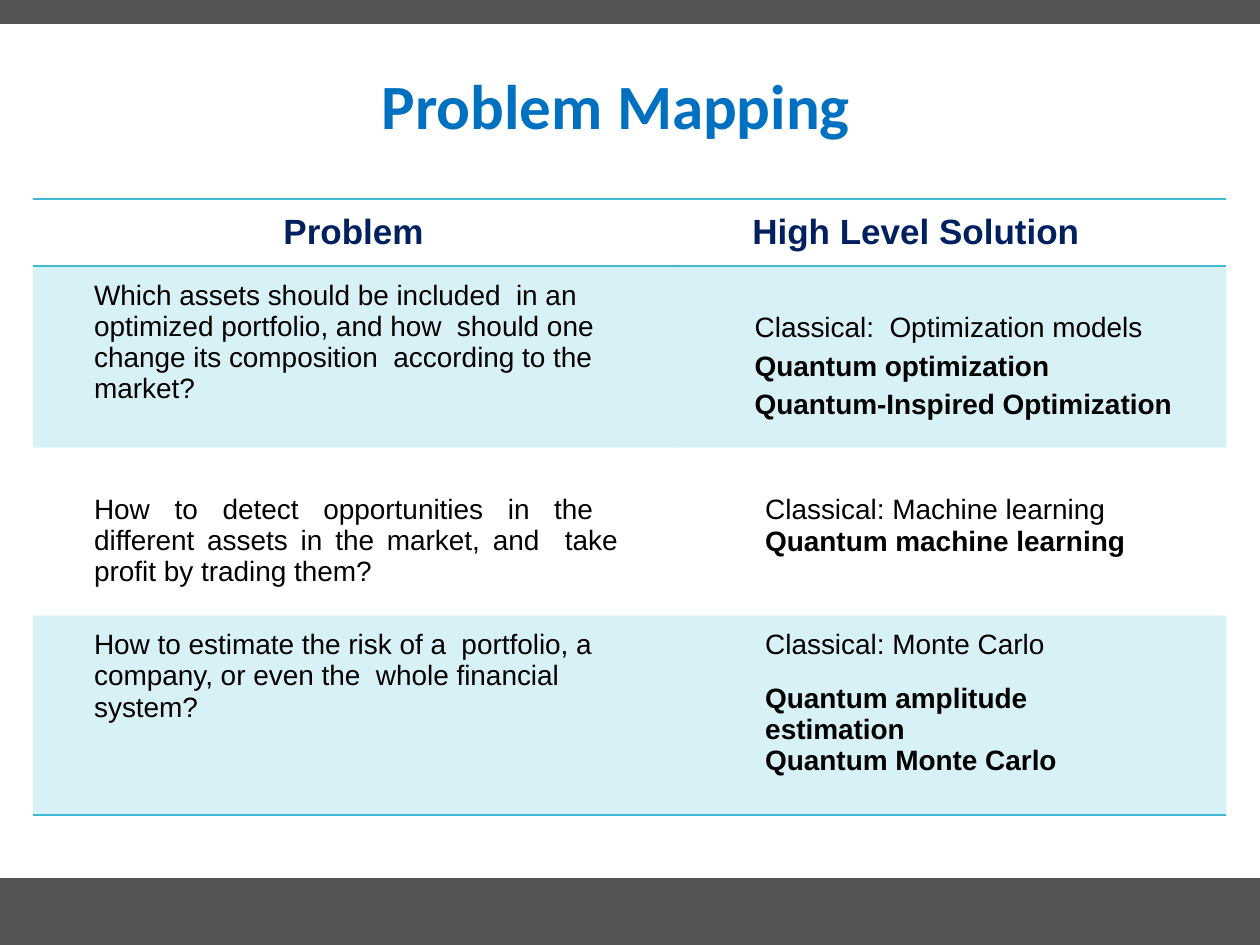
from lxml.etree import SubElement
from pptx import Presentation
from pptx.dml.color import RGBColor
from pptx.enum.shapes import MSO_SHAPE
from pptx.enum.text import MSO_ANCHOR, PP_ALIGN
from pptx.oxml.ns import qn
from pptx.util import Pt

COLORS = {"title": "0070C0", "header": "002060", "body": "000000",
          "accent": "40BAD2", "bar": "545454"}

TITLE = "Problem Mapping"
HEADERS = ["Problem", "High Level Solution"]
# Each row: problem, classical solution, quantum solutions
MAPPINGS = [
    ("Which assets should be included  in an optimized portfolio, and how  "
     "should one change its composition  according to the market?",
     "Classical:  Optimization models",
     ["Quantum optimization", "Quantum-Inspired Optimization"]),
    ("How to detect opportunities in the  different assets in the market, "
     "and  take profit by trading them?",
     "Classical: Machine learning",
     ["Quantum machine learning"]),
    ("How to estimate the risk of a  portfolio, a company, or even the  "
     "whole financial system?",
     "Classical: Monte Carlo",
     ["Quantum amplitude\vestimation\vQuantum Monte Carlo"]),
]
# Per mapping row: top margins (problem, solution), solution indent,
# space before quantum lines, line spacing, problem alignment
ROW_STYLES = [
    ((8, 26.4), 46, 4.3, 1, PP_ALIGN.LEFT),
    ((26.4, 26.4), 52, 0, 1.03, PP_ALIGN.JUSTIFY),
    ((8, 8), 52, 12.8, 1, PP_ALIGN.LEFT),
]

SLIDE_WIDTH, SLIDE_HEIGHT = 720, 540
BARS = [(0, 13.7), (501.8, 38.2)]  # top, height
TABLE_LEFT, TABLE_TOP = 18.8, 113.7
COLUMN_WIDTHS = [366.5, 315.5]
ROW_HEIGHTS = [38.2, 103.8, 96, 114]


def color(name):
    return RGBColor.from_string(COLORS[name])


def format_paragraph(paragraph, size, color_name, bold, font="Arial"):
    for run in paragraph.runs:
        run.font.name = font
        run.font.size = Pt(size)
        run.font.bold = bold
        run.font.color.rgb = color(color_name)


def set_margins(cell, left, top, right):
    cell.margin_left, cell.margin_top = Pt(left), Pt(top)
    cell.margin_right, cell.margin_bottom = Pt(right), Pt(8)


def set_borders(cell, ruled_sides):
    """Rule the sides named in ruled_sides (L, R, T, B) and clear the others."""
    properties = cell._tc.get_or_add_tcPr()
    for side in "LRTB":
        line = SubElement(properties, qn(f"a:ln{side}"), w=str(Pt(1)))
        if side in ruled_sides:
            fill = SubElement(line, qn("a:solidFill"))
            SubElement(fill, qn("a:srgbClr"), val=COLORS["accent"])
        else:
            SubElement(line, qn("a:noFill"))


def tint(cell):
    """Fill with the accent colour at 20 % opacity."""
    cell.fill.solid()
    cell.fill.fore_color.rgb = color("accent")
    accent = cell._tc.tcPr.find(qn("a:solidFill"))[0]
    SubElement(accent, qn("a:alpha"), val="20000")


def add_bar(slide, top, height):
    bar = slide.shapes.add_shape(MSO_SHAPE.RECTANGLE, 0, Pt(top),
                                 Pt(SLIDE_WIDTH), Pt(height))
    bar.shadow.inherit = False
    bar.fill.solid()
    bar.fill.fore_color.rgb = color("bar")
    bar.line.fill.background()


def set_title(slide):
    title = slide.shapes.title
    title.left, title.top = Pt(30.2), Pt(33.1)
    title.width, title.height = Pt(643.7), Pt(51.8)
    frame = title.text_frame
    frame.text = TITLE
    frame.vertical_anchor = MSO_ANCHOR.BOTTOM
    heading = frame.paragraphs[0]
    heading.alignment = PP_ALIGN.CENTER
    heading.line_spacing = 0.85
    format_paragraph(heading, 36, "title", True, "Calibri")


def fill_header(table):
    for column, header in enumerate(HEADERS):
        cell = table.cell(0, column)
        cell.text_frame.text = header
        cell.vertical_anchor = MSO_ANCHOR.MIDDLE
        set_margins(cell, 44.6 * column, 8, 0)
        heading = cell.text_frame.paragraphs[0]
        heading.alignment = PP_ALIGN.LEFT if column else PP_ALIGN.CENTER
        format_paragraph(heading, 20, "header", True)
        set_borders(cell, "TB")
        cell.fill.background()


def fill_mapping(table, row, mapping, style):
    problem, classical, quantum = mapping
    (problem_top, solution_top), indent, gap, spacing, alignment = style
    problem_cell, solution_cell = table.cell(row, 0), table.cell(row, 1)

    problem_cell.text_frame.text = problem
    set_margins(problem_cell, 35, problem_top, 32)
    question = problem_cell.text_frame.paragraphs[0]
    question.alignment = alignment
    format_paragraph(question, 16, "body", False)

    solution_cell.text_frame.text = "\n".join([classical, *quantum])
    set_margins(solution_cell, indent, solution_top, 0)
    for index, solution in enumerate(solution_cell.text_frame.paragraphs):
        solution.line_spacing = spacing
        solution.space_before = Pt(gap if index else 0)
        format_paragraph(solution, 16, "body", index > 0)

    for cell in (problem_cell, solution_cell):
        sides = {1: "T", len(MAPPINGS): "B"}.get(row, "")
        set_borders(cell, sides)
        if row % 2:
            tint(cell)
        else:
            cell.fill.background()


def add_mapping_table(slide):
    table = slide.shapes.add_table(
        len(ROW_HEIGHTS), len(COLUMN_WIDTHS), Pt(TABLE_LEFT), Pt(TABLE_TOP),
        Pt(sum(COLUMN_WIDTHS)), Pt(sum(ROW_HEIGHTS))).table
    table.first_row = table.horz_banding = False
    for column, width in zip(table.columns, COLUMN_WIDTHS):
        column.width = Pt(width)
    for row, height in zip(table.rows, ROW_HEIGHTS):
        row.height = Pt(height)
    fill_header(table)
    for row, (mapping, style) in enumerate(zip(MAPPINGS, ROW_STYLES), 1):
        fill_mapping(table, row, mapping, style)


def main():
    presentation = Presentation()
    presentation.slide_width = Pt(SLIDE_WIDTH)
    presentation.slide_height = Pt(SLIDE_HEIGHT)
    slide = presentation.slides.add_slide(presentation.slide_layouts[5])
    set_title(slide)
    for top, height in BARS:
        add_bar(slide, top, height)
    add_mapping_table(slide)
    presentation.save("out.pptx")


if __name__ == "__main__":
    main()
